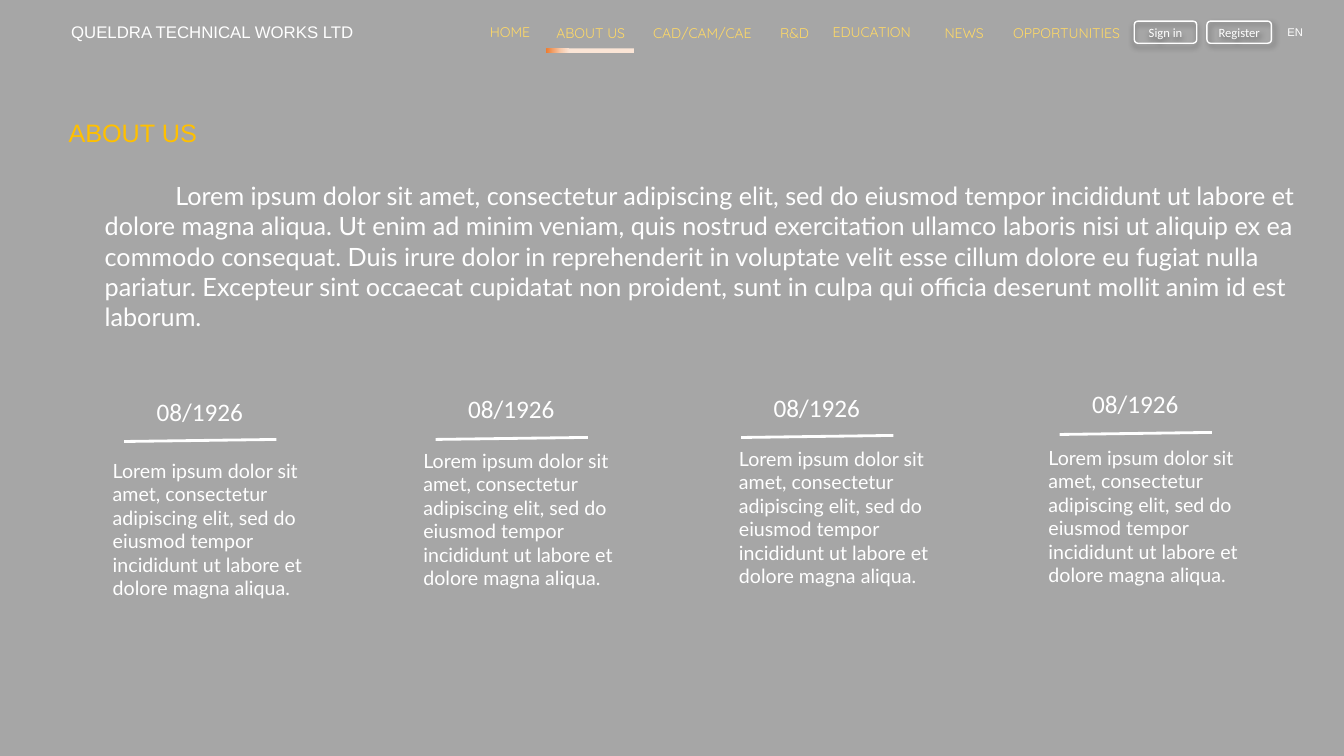
"""Build the "About us" page: navigation bar, introduction and four dated milestones."""
from pptx import Presentation
from pptx.dml.color import RGBColor
from pptx.enum.shapes import MSO_CONNECTOR, MSO_SHAPE
from pptx.enum.text import MSO_ANCHOR, MSO_AUTO_SIZE, PP_ALIGN
from pptx.oxml import parse_xml
from pptx.oxml.ns import nsdecls
from pptx.util import Inches, Pt

COLOURS = {"background": "A6A6A6", "white": "FFFFFF", "heading": "FFC000", "menu": "FFD966",
           "shadow": "000000", "pale": "FBE5D6", "peach": "F8CBAD", "orange": "ED7D31"}
LOREM = ("Lorem ipsum dolor sit amet, consectetur adipiscing elit, sed do eiusmod tempor "
         "incididunt ut labore et dolore magna aliqua.")
INTRO = LOREM + (" Ut enim ad minim veniam, quis nostrud exercitation ullamco laboris nisi ut aliquip "
                 "ex ea commodo consequat. Duis irure dolor in reprehenderit in voluptate velit esse "
                 "cillum dolore eu fugiat nulla pariatur. Excepteur sint occaecat cupidatat non "
                 "proident, sunt in culpa qui officia deserunt mollit anim id est laborum.")

deck = Presentation()
deck.slide_width, deck.slide_height = Inches(13.33), Inches(7.5)
page = deck.slides.add_slide(deck.slide_layouts[5])
page.background.fill.solid()
page.background.fill.fore_color.rgb = RGBColor.from_string(COLOURS["background"])


def share(left, top, width, height):
    """Turn percentages of the slide's size into lengths."""
    across, down = deck.slide_width / 100, deck.slide_height / 100
    return int(left * across), int(top * down), int(width * across), int(height * down)


def write(shape, text, font="Arial", size=18, colour="white", align=PP_ALIGN.LEFT,
          anchor=MSO_ANCHOR.TOP, wrap=True, indent=0):
    """Put one formatted paragraph into a shape."""
    frame = shape.text_frame
    frame.text = text
    frame.word_wrap = wrap
    frame.auto_size = MSO_AUTO_SIZE.NONE
    frame.vertical_anchor = anchor
    paragraph = frame.paragraphs[0]
    paragraph.alignment = align
    if indent:
        paragraph._p.get_or_add_pPr().set("indent", str(Inches(indent)))
    style = paragraph.runs[0].font
    style.name, style.size = font, Pt(size)
    style.color.rgb = RGBColor.from_string(COLOURS[colour])


heading = page.shapes.title
heading.left, heading.top, heading.width, heading.height = share(4.35, 14.8, 14.63, 5.33)
write(heading, "ABOUT US", colour="heading")

company = page.shapes.add_textbox(*share(4.55, 2.27, 30, 4))
write(company, "QUELDRA TECHNICAL WORKS LTD", size=12)
introduction = page.shapes.add_textbox(*share(7.05, 23.2, 91.82, 17.47))
write(introduction, INTRO, font="Lato", indent=0.7)

milestones = [(9.23, 58.4, 7.65, 60), (32.41, 58.13, 30.76, 58.67),
              (55.14, 57.87, 54.24, 58.4), (78.84, 57.47, 77.27, 58.27)]
for rule_left, rule_top, story_left, story_top in milestones:
    start_x, start_y, end_x, end_y = share(rule_left, rule_top, rule_left + 11.33, rule_top - 0.27)
    rule = page.shapes.add_connector(MSO_CONNECTOR.STRAIGHT, start_x, start_y, end_x, end_y)
    rule.line.color.rgb = RGBColor.from_string(COLOURS["white"])
    rule.line.width = Pt(2)
    rule._element.spPr.append(parse_xml(f"<a:effectLst {nsdecls('a')}/>"))
    date = page.shapes.add_textbox(*share(rule_left + 1.68, rule_top - 6.7, 11.85, 5.33))
    write(date, "08/1926", font="Calibri")
    story = page.shapes.add_textbox(*share(story_left, story_top, 18.38, 20.13))
    write(story, LOREM, font="Lato", size=14)

menu = [("HOME", 35.71, 2.4, 6.53), ("ABOUT US", 40.66, 2.53, 7.43),
        ("CAD/CAM/CAE", 47.86, 2.53, 9.9), ("R&D", 57.31, 2.53, 4.5),
        ("EDUCATION", 61.22, 2.4, 8.25), ("NEWS", 69.54, 2.53, 5.93),
        ("OPPORTUNITIES", 74.64, 2.53, 11.48)]
for label, left, top, width in menu:
    entry = page.shapes.add_textbox(*share(left, top, width, 3.6))
    write(entry, label, font="Quicksand", size=10, colour="menu")
language = page.shapes.add_textbox(*share(95.05, 2.67, 4.95, 3.2))
write(language, "EN", size=8)

for label, left, width, direction in [("Sign in", 84.4, 4.65, 90), ("Register", 89.8, 4.8, 45)]:
    button = page.shapes.add_shape(MSO_SHAPE.ROUNDED_RECTANGLE, *share(left, 2.8, width, 2.93))
    button.fill.background()
    button.line.color.rgb = RGBColor.from_string(COLOURS["white"])
    button.line.width = Pt(1)
    button._element.spPr.append(parse_xml(
        f'<a:effectLst {nsdecls("a")}><a:outerShdw blurRad="{Pt(4)}" dist="{Pt(3)}" '
        f'dir="{direction * 60000}" rotWithShape="0"><a:srgbClr val="{COLOURS["shadow"]}">'
        '<a:alpha val="40000"/></a:srgbClr></a:outerShdw></a:effectLst>'))
    write(button, label, font="Calibri", size=9, align=PP_ALIGN.CENTER,
          anchor=MSO_ANCHOR.MIDDLE, wrap=False)

underline = page.shapes.add_shape(MSO_SHAPE.ROUNDED_RECTANGLE, *share(40.66, 6.4, 6.53, 0.67))
underline.shadow.inherit = False
underline.line.fill.background()
stops = "".join(f'<a:gs pos="{place * 1000}"><a:srgbClr val="{COLOURS[tone]}"/></a:gs>'
                for place, tone in [(0, "pale"), (74, "pale"), (83, "peach"), (100, "orange")])
underline._element.spPr.insert(2, parse_xml(
    f'<a:gradFill {nsdecls("a")}><a:gsLst>{stops}</a:gsLst>'
    f'<a:lin ang="{180 * 60000}" scaled="0"/></a:gradFill>'))

deck.save("out.pptx")
